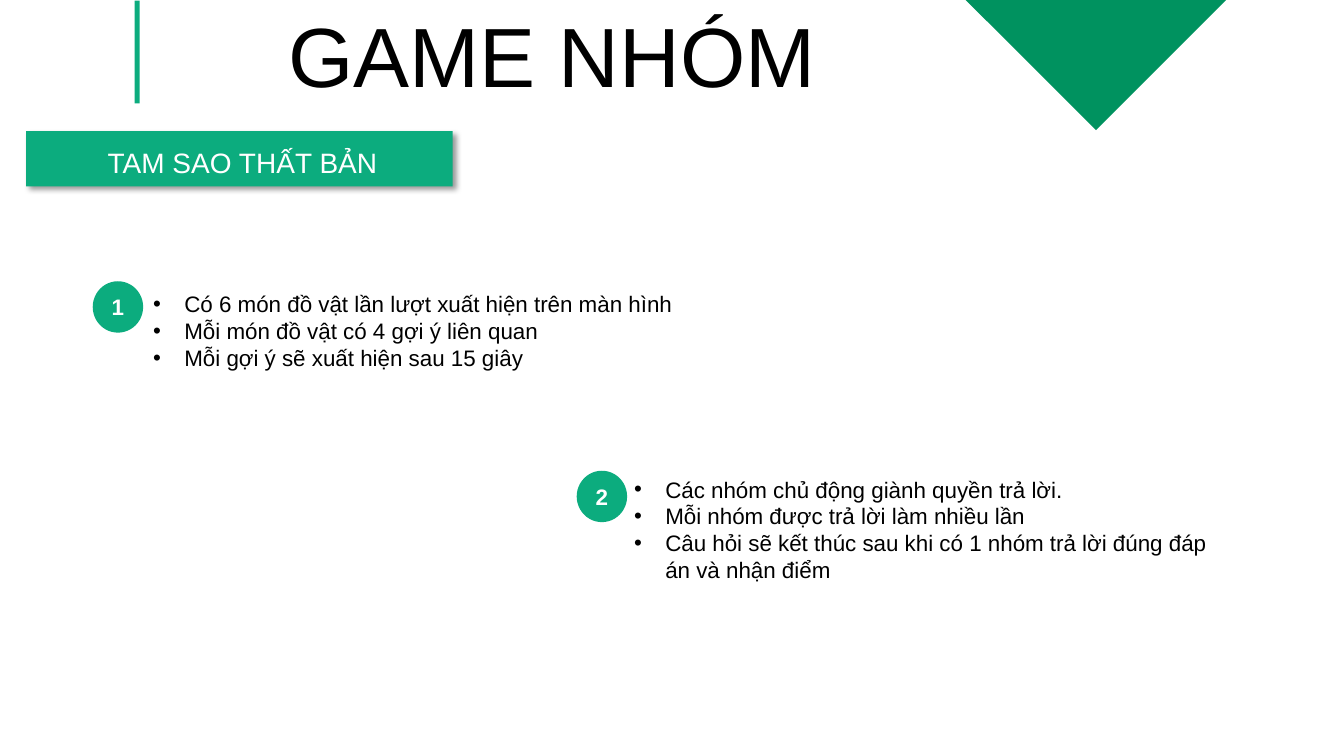
"""Build the group game slide with its rules."""
from dataclasses import dataclass

from lxml.etree import SubElement
from pptx import Presentation
from pptx.dml.color import RGBColor
from pptx.enum.shapes import MSO_SHAPE
from pptx.enum.text import MSO_ANCHOR, PP_ALIGN
from pptx.oxml import parse_xml
from pptx.oxml.ns import nsdecls, qn
from pptx.util import Inches, Pt


@dataclass(frozen=True)
class Theme:
    green: RGBColor = RGBColor.from_string("0CAC7E")
    dark_green: RGBColor = RGBColor.from_string("00925F")
    black: RGBColor = RGBColor.from_string("000000")
    white: RGBColor = RGBColor.from_string("FFFFFF")
    font: str = "Arial"
    title: int = 60
    subtitle: int = 20
    body: int = 16


theme = Theme()
deck = Presentation()
deck.slide_width = Inches(13.33)
deck.slide_height = Inches(7.5)
page = deck.slides.add_slide(deck.slide_layouts[6])


def add_block(preset, left, top, width, height, color, rotation=0):
    block = page.shapes.add_shape(
        preset, Inches(left), Inches(top), Inches(width), Inches(height))
    block.rotation = rotation
    block.shadow.inherit = False
    block.fill.solid()
    block.fill.fore_color.rgb = color
    block.line.fill.background()
    return block


def write_lines(box, lines, size, color, align=PP_ALIGN.CENTER, bold=False, bullet=False):
    frame = box.text_frame
    frame.word_wrap = True
    frame.text = "\n".join(lines)
    for para in frame.paragraphs:
        para.alignment = align
        if bullet:
            properties = para._p.get_or_add_pPr()
            properties.set("marL", str(Inches(0.31)))
            properties.set("indent", str(Inches(-0.31)))
            SubElement(properties, qn("a:buFont"), typeface=theme.font)
            SubElement(properties, qn("a:buChar"), char="•")
        for span in para.runs:
            span.font.name = theme.font
            span.font.size = Pt(size)
            span.font.bold = bold
            span.font.color.rgb = color


add_block(MSO_SHAPE.RIGHT_TRIANGLE, 9.95, -0.93, 1.84, 1.84, theme.dark_green, 315)
add_block(MSO_SHAPE.RECTANGLE, 0.85, 0.49, 1.02, 0.05, theme.green, 90)

title = page.shapes.add_textbox(Inches(2.57), Inches(-0.01), Inches(5.81), Inches(1.11))
write_lines(title, ["GAME NHÓM"], theme.title, theme.black)

banner = add_block(MSO_SHAPE.RECTANGLE, 0.26, 1.3, 4.23, 0.55, theme.green)
effects = banner._element.spPr.find(qn("a:effectLst"))
effects.append(parse_xml(
    f'<a:outerShdw {nsdecls("a")} blurRad="{Pt(4)}" dist="{Pt(3)}" dir="2700000" '
    'algn="tl" rotWithShape="0"><a:srgbClr val="000000"><a:alpha val="40000"/>'
    '</a:srgbClr></a:outerShdw>'))

subtitle = page.shapes.add_textbox(Inches(0.57), Inches(1.39), Inches(3.67), Inches(0.44))
write_lines(subtitle, ["TAM SAO THẤT BẢN"], theme.subtitle, theme.white)

rules = [
    ((0.92, 2.79), (1.42, 2.83, 5.72), [
        "Có 6 món đồ vật lần lượt xuất hiện trên màn hình",
        "Mỗi món đồ vật có 4 gợi ý liên quan",
        "Mỗi gợi ý sẽ xuất hiện sau 15 giây",
    ]),
    ((5.72, 4.67), (6.19, 4.67, 6.14), [
        "Các nhóm chủ động giành quyền trả lời.",
        "Mỗi nhóm được trả lời làm nhiều lần",
        "Câu hỏi sẽ kết thúc sau khi có 1 nhóm trả lời đúng đáp án và nhận điểm",
    ]),
]
for number, (badge_place, (left, top, width), lines) in enumerate(rules, start=1):
    badge = add_block(MSO_SHAPE.OVAL, *badge_place, 0.5, 0.51, theme.green)
    badge.text_frame.vertical_anchor = MSO_ANCHOR.MIDDLE
    write_lines(badge, [str(number)], theme.body, theme.white, bold=True)
    box = page.shapes.add_textbox(Inches(left), Inches(top), Inches(width), Inches(1.18))
    write_lines(box, lines, theme.body, theme.black, PP_ALIGN.LEFT, bullet=True)

deck.save("out.pptx")
